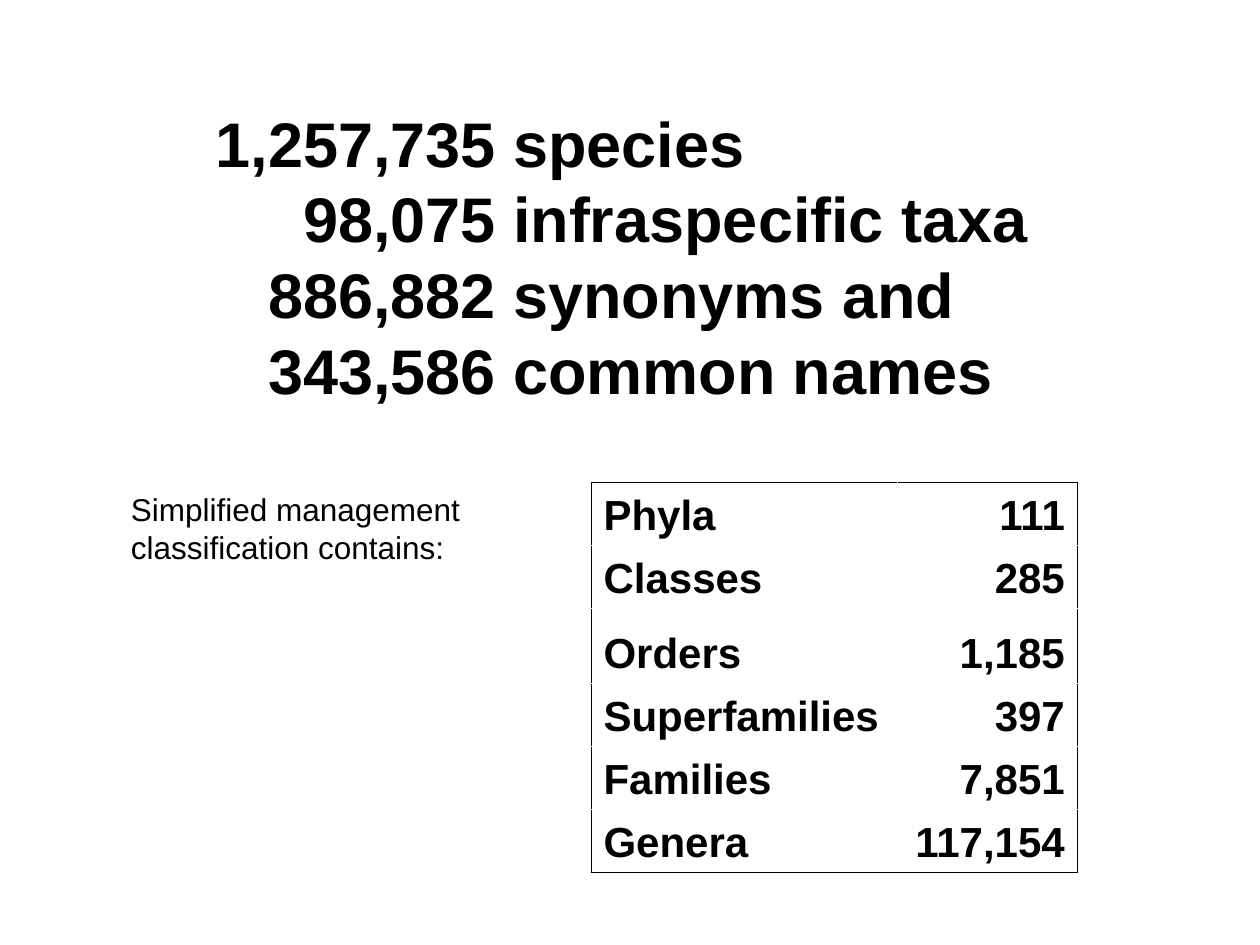
from lxml.etree import SubElement
from pptx import Presentation
from pptx.dml.color import RGBColor
from pptx.enum.text import MSO_ANCHOR, MSO_AUTO_SIZE, PP_ALIGN
from pptx.oxml.ns import qn
from pptx.util import Pt

BLACK = RGBColor(0x00, 0x00, 0x00)
FONT = "Arial"
DIGIT_EM, COMMA_EM = 0.556, 0.278  # Arial advance widths

COUNTS = [
    ("1,257,735", "species"),
    ("98,075", "infraspecific taxa"),
    ("886,882", "synonyms and"),
    ("343,586", "common names"),
]
RANKS = [
    ("Phyla", "111"),
    ("Classes", "285"),
    ("Orders", "1,185"),
    ("Superfamilies", "397"),
    ("Families", "7,851"),
    ("Genera", "117,154"),
]


def format_paragraph(p, size, bold=False, align=PP_ALIGN.LEFT):
    p.alignment = align
    p.font.name, p.font.size, p.font.bold = FONT, Pt(size), bold
    p.font.color.rgb = BLACK


def fill_lines(s, box, lines, size, bold=False):
    """Place a text shape in its box and set one paragraph per line."""
    s.left, s.top, s.width, s.height = (Pt(v) for v in box)
    tf = s.text_frame
    tf.text = "\n".join(lines)
    tf.word_wrap = True
    tf.auto_size = MSO_AUTO_SIZE.NONE
    tf.vertical_anchor = MSO_ANCHOR.TOP
    tf.margin_right = 0
    for p in tf.paragraphs:
        format_paragraph(p, size, bold)
        p.line_spacing = Pt(1.2 * size)
        p.space_before = Pt(0)
    return tf


def number_width(number, size):
    commas = number.count(",")
    return size * (commas * COMMA_EM + (len(number) - commas) * DIGIT_EM)


def add_counts(slide, box, size=36):
    """Headline whose numbers end on one line, by left indents."""
    lines = [f"{number} {label}" for number, label in COUNTS]
    tf = fill_lines(slide.shapes.title, box, lines, size, bold=True)
    widths = [number_width(number, size) for number, _ in COUNTS]
    for p, width in zip(tf.paragraphs, widths):
        pPr = p._p.get_or_add_pPr()
        pPr.set("marL", str(Pt(round(max(widths) - width))))
        pPr.set("indent", "0")


def add_caption(slide, box):
    s = slide.shapes.add_textbox(0, 0, 0, 0)
    fill_lines(s, box, ["Simplified management", "classification contains:"], 18)


def add_borders(cell, sides):
    tcPr = cell._tc.get_or_add_tcPr()
    for side in sides:
        ln = SubElement(tcPr, qn(f"a:ln{side}"), w=str(Pt(0.45)))
        fill = SubElement(ln, qn("a:solidFill"))
        SubElement(fill, qn("a:srgbClr"), val=str(BLACK))


def add_rank_table(slide, box):
    """Ranks and their counts, framed by an outer border only."""
    left, top, width, height = box
    table = slide.shapes.add_table(
        len(RANKS), 2, Pt(left), Pt(top), Pt(width), Pt(height)).table
    table.first_row = table.horz_banding = False

    # Third row is a little taller than the others
    row_height, extra = 36, height - 36 * len(RANKS)
    for i, row in enumerate(table.rows):
        row.height = Pt(row_height + (extra if i == 2 else 0))
    for column, share in zip(table.columns, (0.63, 0.37)):
        column.width = Pt(width * share)

    last = len(RANKS) - 1
    for i, rank in enumerate(RANKS):
        for j, text in enumerate(rank):
            cell = table.cell(i, j)
            cell.text = text
            cell.vertical_anchor = MSO_ANCHOR.BOTTOM
            align = PP_ALIGN.RIGHT if j else PP_ALIGN.LEFT
            format_paragraph(cell.text_frame.paragraphs[0], 24, True, align)
            sides = ("R" if j else "L") + "T" * (i == 0) + "B" * (i == last)
            add_borders(cell, sides)
            cell.fill.background()


prs = Presentation()
prs.slide_width, prs.slide_height = Pt(720), Pt(540)
slide = prs.slides.add_slide(prs.slide_layouts[5])
add_rank_table(slide, (337.7, 275.8, 278, 222.7))
add_counts(slide, (116, 56, 479, 180))
add_caption(slide, (67.7, 276.5, 207.4, 50.4))
prs.save("out.pptx")
